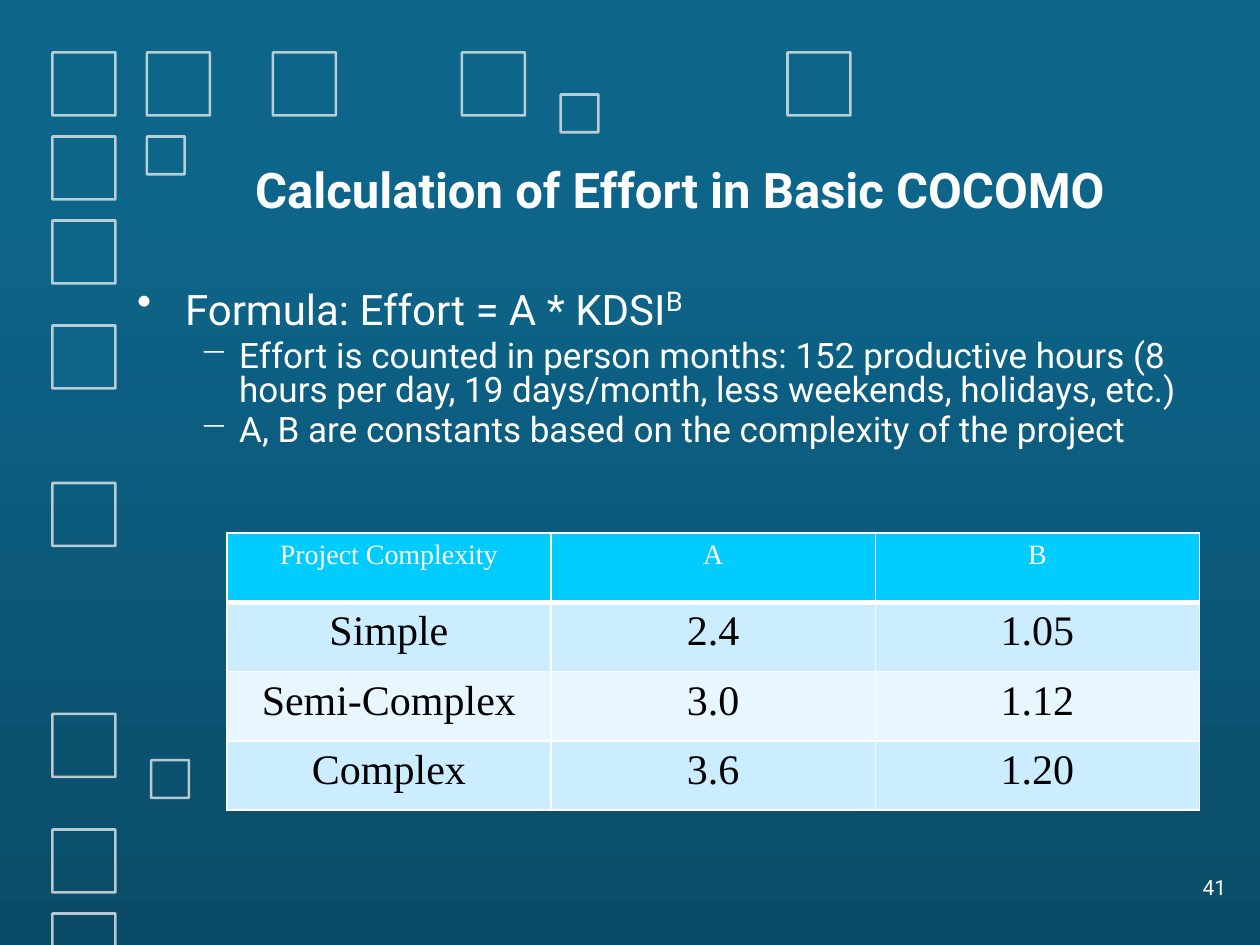
"""Build the slide on effort calculation in Basic COCOMO."""
from lxml import etree
from pptx import Presentation, util as u
from pptx.dml.color import RGBColor
from pptx.enum import shapes, text
from pptx.oxml.ns import qn

WHITE, TEAL, DEEP = "FFFFFF", "0D658A", "0A4C68"
BODY_FONT, TABLE_FONT = "Roboto", "Times New Roman"
UNIT = u.Inches(1) // 12


def rgb(value):
    return RGBColor.from_string(value)


def style(paragraph, size, font=BODY_FONT, color=WHITE, bold=False):
    for run in paragraph.runs:
        run.font.size, run.font.name, run.font.bold = u.Pt(size), font, bold
        run.font.color.rgb = rgb(color)


deck = Presentation()
deck.slide_width, deck.slide_height = 120 * UNIT, 90 * UNIT
slide = deck.slides.add_slide(deck.slide_layouts[6])

backdrop = slide.background.fill
backdrop.gradient()
backdrop.gradient_angle = 270
for stop, position, color in zip(backdrop.gradient_stops, (0.21, 1), (TEAL, DEEP)):
    stop.position = position
    stop.color.rgb = rgb(color)

top_row = [(column, 5, 6) for column in (5, 14, 26, 44, 75)]
left_column = [(5, row, 6) for row in (13, 21, 31, 46, 68, 79, 87)]
small_squares = [(14, 13, 3.6), (53.4, 9, 3.6), (14.4, 72.4, 3.6)]
for column, row, side in top_row + left_column + small_squares:
    square = slide.shapes.add_shape(
        shapes.MSO_SHAPE.RECTANGLE, *(int(n * UNIT) for n in (column, row, side, side)))
    square.shadow.inherit = False
    if row < 40:
        square.fill.solid()
        square.fill.fore_color.rgb = rgb(TEAL)
    else:
        square.fill.background()
    square.line.width = u.Pt(1.5)
    square.line.color.rgb = rgb("F2F2F2")
    line_color = square.line._ln.find(".//" + qn("a:srgbClr"))
    etree.SubElement(line_color, qn("a:alpha"), val="74000")

frames = []
for left, top, width, height, anchor in (
        (1.77, 1.15, 7.25, 0.63, text.MSO_ANCHOR.BOTTOM),
        (0.99, 2.25, 8.82, 1.5, text.MSO_ANCHOR.TOP),
        (7.75, 6.83, 2.08, 0.42, text.MSO_ANCHOR.MIDDLE)):
    frame = slide.shapes.add_textbox(
        *(u.Inches(n) for n in (left, top, width, height))).text_frame
    frame.word_wrap, frame.vertical_anchor = True, anchor
    frames.append(frame)
title, body, page_number = frames

title.text = "Calculation of Effort in Basic COCOMO"
style(title.paragraphs[0], 28, bold=True)
title.paragraphs[0].alignment = text.PP_ALIGN.CENTER

page_number.text = "41"
style(page_number.paragraphs[0], 12)
page_number.paragraphs[0].alignment = text.PP_ALIGN.RIGHT

body.text = "\n".join((
    "Formula: Effort = A * KDSI",
    "Effort is counted in person months: 152 productive hours "
    "(8 hours per day, 19 days/month, less weekends, holidays, etc.)",
    "A, B are constants based on the complexity of the project"))
exponent = body.paragraphs[0].add_run()
exponent.text = "B"
for point, level in zip(body.paragraphs, (0, 1, 1)):
    size, margin, hanging, mark, before = (
        (24, 0.38, 0.38, "•", 0), (20, 0.81, 0.31, "−", 4))[level]
    style(point, size)
    point.level, point.line_spacing, point.space_before = level, 0.8, u.Pt(before)
    properties = point._p.get_or_add_pPr()
    properties.set("marL", str(u.Inches(margin)))
    properties.set("indent", str(-u.Inches(hanging)))
    bullet_color = etree.SubElement(properties, qn("a:buClr"))
    etree.SubElement(bullet_color, qn("a:srgbClr"), val=WHITE)
    etree.SubElement(properties, qn("a:buChar"), char=mark)
exponent.font.size = u.Pt(26.7)
exponent.font._element.set("baseline", "30000")

complexity = (("Project Complexity", "A", "B"), ("Simple", "2.4", "1.05"),
              ("Semi-Complex", "3.0", "1.12"), ("Complex", "3.6", "1.20"))
fills = ("00CCFF", "CCECFF", "E7F6FF", "CCECFF")
table = slide.shapes.add_table(
    4, 3, u.Inches(1.8), u.Inches(4.23), u.Inches(7.72), u.Inches(2.2)).table
for r, (values, fill) in enumerate(zip(complexity, fills)):
    for c, value in enumerate(values):
        cell = table.cell(r, c)
        cell.text = value
        paragraph = cell.text_frame.paragraphs[0]
        paragraph.alignment = text.PP_ALIGN.CENTER
        style(paragraph, 24 if r else 16, TABLE_FONT, "000000" if r else WHITE)
        cell_properties = cell._tc.get_or_add_tcPr()
        for edge in ("lnL", "lnR", "lnT", "lnB"):
            thick = (r, edge) in ((0, "lnB"), (1, "lnT"))
            border = etree.SubElement(
                cell_properties, qn("a:" + edge), w=str(u.Pt(3 if thick else 1)))
            border_fill = etree.SubElement(border, qn("a:solidFill"))
            etree.SubElement(border_fill, qn("a:srgbClr"), val=WHITE)
        cell.fill.solid()
        cell.fill.fore_color.rgb = rgb(fill)

deck.save("out.pptx")
